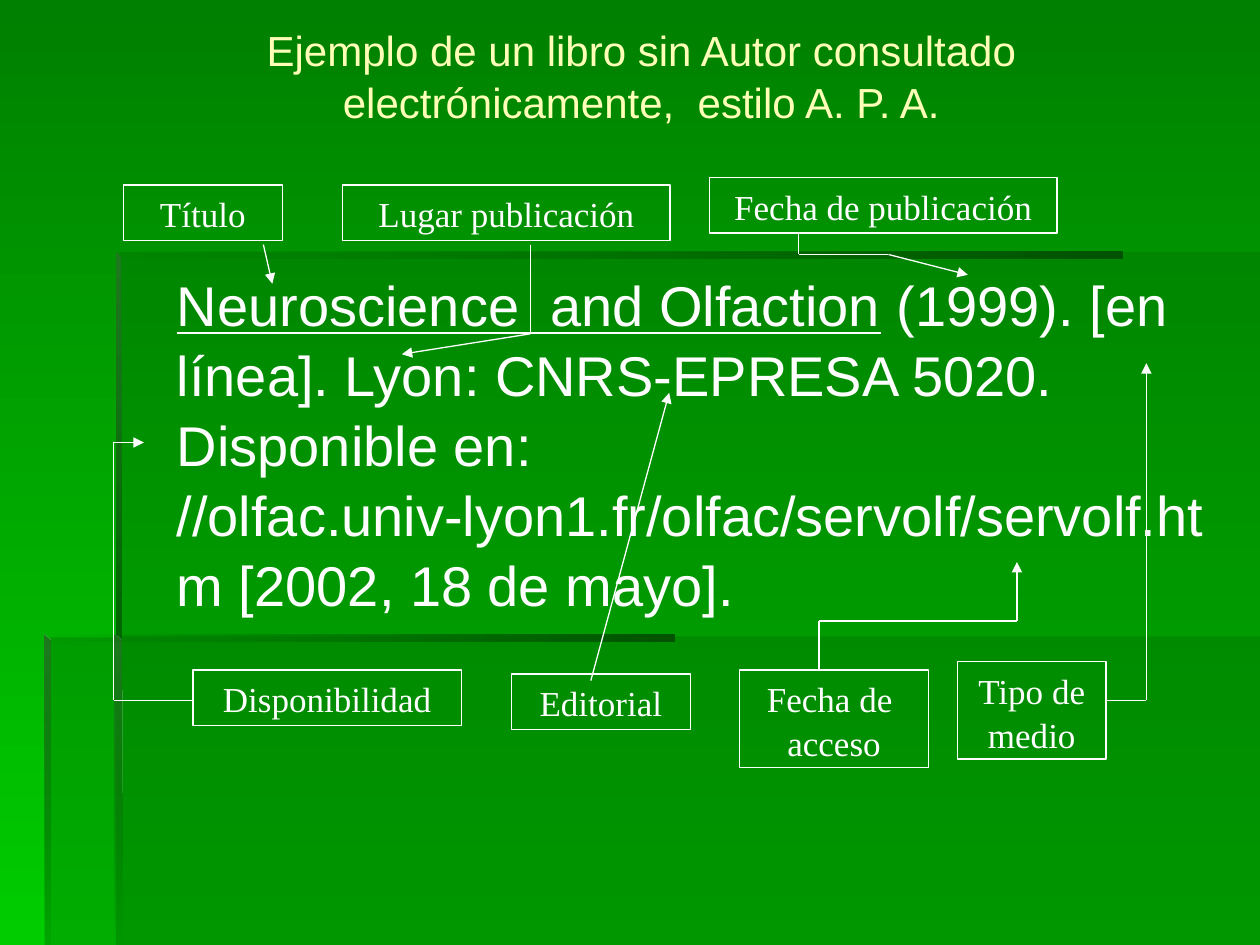
from itertools import pairwise

from lxml.etree import SubElement
from pptx import Presentation
from pptx.dml.color import RGBColor
from pptx.enum.shapes import MSO_CONNECTOR, MSO_SHAPE
from pptx.enum.text import MSO_ANCHOR as ANCHOR, MSO_AUTO_SIZE as AUTO, PP_ALIGN as ALIGN
from pptx.oxml.ns import qn
from pptx.util import Cm, Pt

WHITE = RGBColor(0xFF, 0xFF, 0xFF)
CREAM = RGBColor(0xFF, 0xFF, 0xB7)
GREEN = RGBColor(0x00, 0x80, 0x00)
BRIGHT = RGBColor(0x00, 0xCC, 0x00)
DARK = RGBColor(0x00, 0x66, 0x00)
SHADE = RGBColor(0x00, 0x53, 0x00)
EDGE = RGBColor(0x1E, 0x78, 0x1E)
DOWN, LEFTWARD = 270, 180  # gradient angles
LINE_SPACING = 1.04


def set_gradient(fill, first, last, angle):
    fill.gradient()
    fill.gradient_angle = angle
    for stop, color, position in zip(fill.gradient_stops, (first, last), (0, 1)):
        stop.color.rgb = color
        stop.position = position


def format_text(paragraph, font_format, paragraph_format):
    for key, value in paragraph_format.items():
        setattr(paragraph, key, value)
    for run in paragraph.runs:
        for key, value in font_format.items():
            if key == "color":
                run.font.color.rgb = value
            else:
                setattr(run.font, key, value)


prs = Presentation()
prs.slide_width, prs.slide_height = Cm(25.4), Cm(19.05)
slide = prs.slides.add_slide(prs.slide_layouts[1])
set_gradient(slide.background.fill, GREEN, BRIGHT, DOWN)

# Backdrop panels and bevelled edges: outline, first colour (None = solid), angle, end opacity
backdrop = [
    ([(2.34, 12.83), (2.34, 19.05), (25.4, 19.05), (25.4, 12.83)], None, None, 30),
    ([(2.39, 12.85), (0.91, 12.85), (0.91, 19.05), (25.4, 19.05), (25.4, 5.08), (2.39, 5.08)],
     None, None, 30),
    ([(2.34, 5.08), (2.34, 5.21), (22.63, 5.21), (22.63, 5.08)], SHADE, LEFTWARD, 0),
    ([(2.34, 5.08), (2.34, 12.95), (2.46, 12.95), (2.44, 5.18)], EDGE, DOWN, 100),
    ([(2.31, 19.05), (2.46, 19.05), (2.44, 12.9), (2.31, 12.8)], EDGE, DOWN, 0),
    ([(0.89, 12.8), (0.89, 12.93), (13.59, 12.93), (13.59, 12.8)], SHADE, LEFTWARD, 0),
    ([(0.89, 12.8), (0.89, 19.05), (1.02, 19.05), (1.02, 12.93)], EDGE, DOWN, 10),
]
for outline, first, angle, opacity in backdrop:
    start, *others = [(Cm(x), Cm(y)) for x, y in outline]
    builder = slide.shapes.build_freeform(*start)
    builder.add_line_segments(others, close=True)
    panel = builder.convert_to_shape()
    panel.shadow.inherit = False
    panel.line.fill.background()
    if first is None:
        panel.fill.solid()
        panel.fill.fore_color.rgb = DARK
    else:
        set_gradient(panel.fill, first, DARK, angle)
    end_color = list(panel.fill._xPr.iter(qn("a:srgbClr")))[-1]
    SubElement(end_color, qn("a:alpha")).set("val", str(opacity * 1000))

# Title and reference, brought in front of the backdrop
title, reference = slide.shapes.title, slide.placeholders[1]
for holder, box, anchor in (
    (title, (1.93, 0.33, 22, 2.36), ANCHOR.MIDDLE),
    (reference, (2.34, 5.28, 22.25, 11.63), ANCHOR.TOP),
):
    slide.shapes._spTree.append(holder._element)
    holder.left, holder.top, holder.width, holder.height = map(Cm, box)
    holder.text_frame.auto_size = AUTO.NONE
    holder.text_frame.vertical_anchor = anchor

title.text_frame.text = "Ejemplo de un libro sin Autor consultado electrónicamente,  estilo A. P. A."
format_text(title.text_frame.paragraphs[0],
            {"name": "Arial", "size": Pt(24), "color": CREAM},
            {"alignment": ALIGN.CENTER, "line_spacing": LINE_SPACING})

citation = reference.text_frame.paragraphs[0]
citation.add_run().text = "Neuroscience  and Olfaction"
citation.add_run().text = (
    " (1999). [en línea]. Lyon: CNRS-EPRESA 5020. Disponible en: "
    "//olfac.univ-lyon1.fr/olfac/servolf/servolf.htm [2002, 18 de mayo]."
)
format_text(citation, {"name": "Arial", "size": Pt(32), "color": WHITE},
            {"alignment": ALIGN.LEFT, "space_before": Pt(8), "line_spacing": LINE_SPACING})
citation.runs[0].font.underline = True
citation_props = citation._p.get_or_add_pPr()
citation_props.set("marL", str(Cm(0.97)))
citation_props.set("indent", "0")
SubElement(citation_props, qn("a:buNone"))

# Labels: text, box, and the path of the arrow to the part it names
labels = [
    ("Título", (2.49, 3.73, 3.2, 1.12), [(5.31, 4.93), (5.49, 5.72)]),
    ("Lugar publicación", (6.91, 3.73, 6.6, 1.12),
     [(10.69, 4.93), (10.69, 6.73), (8.1, 7.14)]),
    ("Fecha de publicación", (14.3, 3.58, 7.01, 1.12),
     [(16.1, 4.72), (16.1, 5.13), (17.91, 5.13), (19.51, 5.54)]),
    ("Disponibilidad", (3.89, 13.51, 5.41, 1.12),
     [(3.89, 14.12), (2.29, 14.12), (2.29, 8.92), (2.9, 8.92)]),
    ("Editorial", (10.31, 13.59, 3.61, 1.12), [(11.91, 13.72), (13.49, 7.92)]),
    ("Fecha de  acceso", (14.91, 13.51, 3.81, 1.96),
     [(16.51, 13.51), (16.51, 12.52), (20.5, 12.52), (20.5, 11.33)]),
    ("Tipo de medio", (19.3, 13.34, 3, 1.96),
     [(22.3, 14.12), (23.11, 14.12), (23.11, 7.32)]),
]
for text, box, route in labels:
    label = slide.shapes.add_shape(MSO_SHAPE.RECTANGLE, *map(Cm, box))
    label.shadow.inherit = False
    label.fill.background()
    label.line.color.rgb = WHITE
    label.line.width = Pt(0.75)
    frame = label.text_frame
    frame.text = text
    frame.word_wrap = True
    frame.auto_size = AUTO.SHAPE_TO_FIT_TEXT
    frame.vertical_anchor = ANCHOR.TOP
    format_text(frame.paragraphs[0],
                {"name": "Times New Roman", "size": Pt(20), "color": WHITE},
                {"alignment": ALIGN.CENTER, "line_spacing": LINE_SPACING})

    for start, end in pairwise(route):
        segment = slide.shapes.add_connector(MSO_CONNECTOR.STRAIGHT, *map(Cm, start + end))
        segment.line.color.rgb = WHITE
        segment.line.width = Pt(0.75)
        SubElement(segment._element.spPr, qn("a:effectLst"))
    # The last segment carries the arrowhead
    SubElement(segment.line._get_or_add_ln(), qn("a:tailEnd")).set("type", "triangle")

prs.save("out.pptx")
